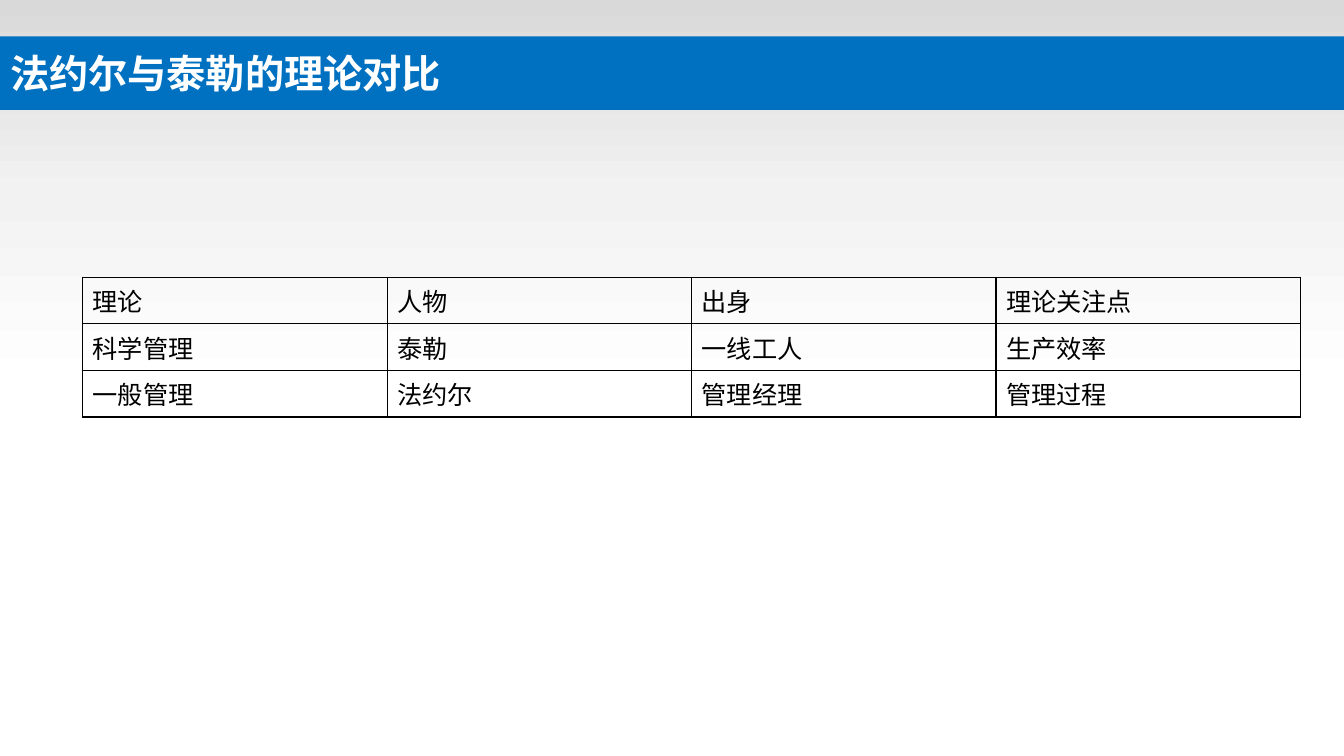
from copy import deepcopy

from lxml.etree import SubElement
from pptx import Presentation
from pptx.dml.color import RGBColor as RGB
from pptx.enum.shapes import MSO_SHAPE as SHAPE
from pptx.enum.text import MSO_ANCHOR as ANCHOR, MSO_AUTO_SIZE as AUTO, PP_ALIGN as ALIGN
from pptx.oxml.ns import qn
from pptx.util import Inches, Pt

COLORS = {"gray": "D9D9D9", "light": "F2F2F2", "white": "FFFFFF",
          "blue": "0070C0", "black": "000000"}
TITLE_FONT = "Noto Sans CJK SC"
ROWS = [
    ["理论", "人物", "出身", "理论关注点"],
    ["科学管理", "泰勒", "一线工人", "生产效率"],
    ["一般管理", "法约尔", "管理经理", "管理过程"],
]


def rgb(name):
    return RGB.from_string(COLORS[name])


def format_font(font, name, size, color, bold):
    for key, value in {"name": name, "size": Pt(size), "bold": bold}.items():
        setattr(font, key, value)
    font.color.rgb = rgb(color)


prs = Presentation()
prs.slide_width, prs.slide_height = Inches(13.33), Inches(7.5)
s = prs.slides.add_slide(prs.slide_layouts[5])

# Background bands
bands = []
for top, height in [(0, 3.83), (0.76, 0.24)]:
    sp = s.shapes.add_shape(SHAPE.RECTANGLE, 0, Inches(top), prs.slide_width, Inches(height))
    sp.shadow.inherit = False
    sp.line.fill.background()
    bands.append(sp)
fade, strip = bands
strip.fill.solid()
strip.fill.fore_color.rgb = rgb("gray")

# Three-stop fade from top to bottom
fade.fill.gradient()
fade.fill.gradient_angle = 270
stops = fade.element.spPr.find(".//" + qn("a:gsLst"))
stops.insert(1, deepcopy(stops[0]))
for stop, color, position in zip(fade.fill.gradient_stops, ["gray", "light", "white"], [0, 0.5, 1]):
    stop.color.rgb = rgb(color)
    stop.position = position

# Title bar, in front of the bands
title = s.shapes.title
title.element.getparent().append(title.element)
title.left, title.top = 0, Inches(0.36)
title.width, title.height = prs.slide_width, Inches(0.73)
title.fill.solid()
title.fill.fore_color.rgb = rgb("blue")
tf = title.text_frame
tf.text = "法约尔与泰勒的理论对比"
tf.auto_size = AUTO.NONE
tf.vertical_anchor = ANCHOR.MIDDLE
p = tf.paragraphs[0]
p.alignment = ALIGN.LEFT
r = p.runs[0]
format_font(r.font, TITLE_FONT, 28, "white", True)
SubElement(r.font._element, qn("a:ea"), typeface=TITLE_FONT)

# Comparison table
table = s.shapes.add_table(len(ROWS), len(ROWS[0]), Inches(0.82), Inches(2.75),
                           Inches(12.08), Inches(1.23)).table
table.first_row = table.horz_banding = False
for row, texts in zip(table.rows, ROWS):
    row.height = Inches(0.41)
    for cell, text in zip(row.cells, texts):
        cell.text = text
        format_font(cell.text_frame.paragraphs[0].runs[0].font, "Arial", 18, "black", False)
        props = cell._tc.get_or_add_tcPr()
        for side in "LRTB":
            ln = SubElement(props, qn(f"a:ln{side}"), w=str(Pt(1)))
            fill = SubElement(ln, qn("a:solidFill"))
            SubElement(fill, qn("a:srgbClr"), val=COLORS["black"])
        cell.fill.background()

prs.save("out.pptx")
